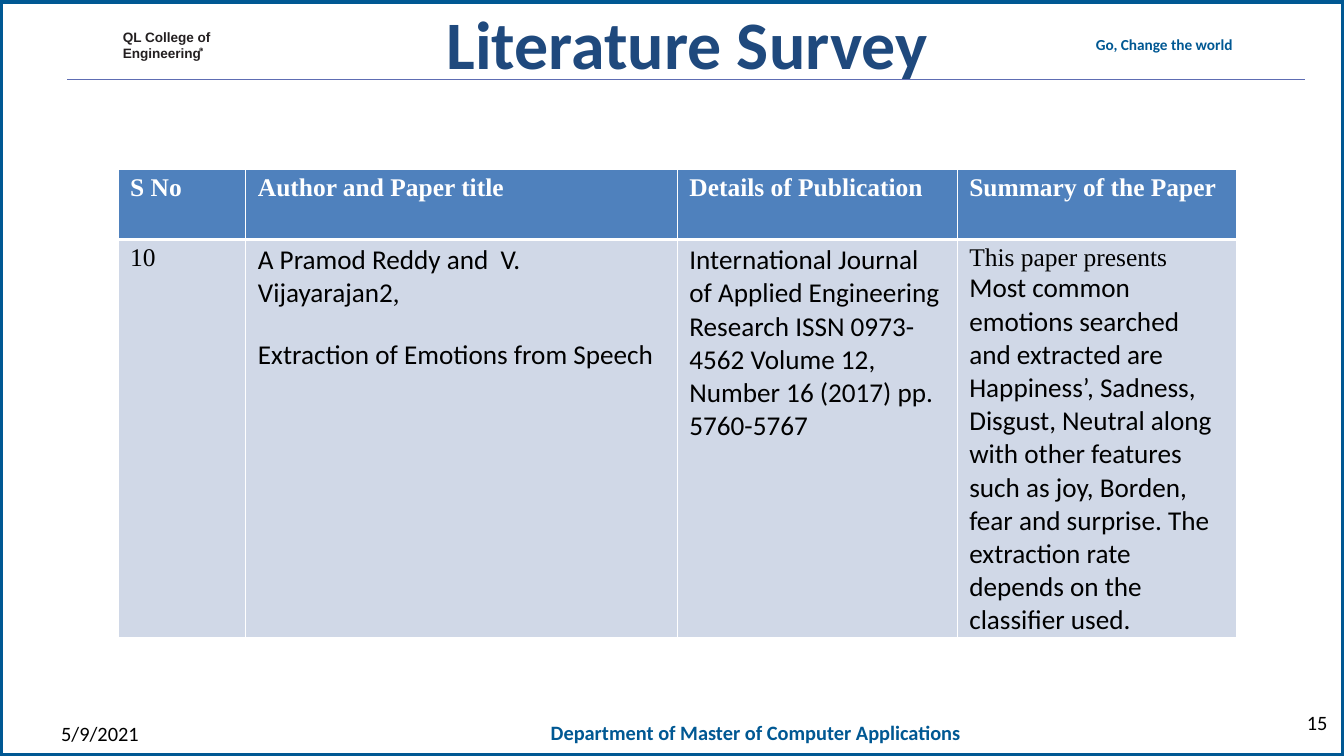
from dataclasses import dataclass

from lxml.etree import SubElement
from pptx import Presentation
from pptx.dml.color import RGBColor
from pptx.enum.shapes import MSO_CONNECTOR, MSO_SHAPE
from pptx.enum.text import MSO_ANCHOR, MSO_AUTO_SIZE, PP_ALIGN
from pptx.oxml import parse_xml
from pptx.oxml.ns import nsdecls, qn
from pptx.shapes.autoshape import Shape
from pptx.slide import Slide
from pptx.table import _Cell
from pptx.text.text import TextFrame, _Paragraph
from pptx.util import Inches, Pt

WHITE = RGBColor(0xFF, 0xFF, 0xFF)
BLACK = RGBColor(0, 0, 0)
INK = RGBColor(0x23, 0x1F, 0x20)
COLLEGE_BLUE = RGBColor(0x00, 0x58, 0x93)
RULE_BLUE = RGBColor(0x5E, 0x6D, 0xB3)
TITLE_BLUE = RGBColor(0x1F, 0x49, 0x7D)
HEADER_FILL = RGBColor(0x4F, 0x81, 0xBD)
BODY_FILL = RGBColor(0xD0, 0xD8, 0xE7)
SERIF = "Times New Roman"
SANS = "Calibri"
WIDTH, HEIGHT = 21.99, 12.37


@dataclass(frozen=True)
class Run:
    text: str
    size: float = 32
    font: str = SANS
    color: RGBColor = BLACK
    bold: bool = False


@dataclass(frozen=True)
class Label:
    left: float
    top: float
    width: float
    height: float
    lines: tuple[Run, ...]
    align: PP_ALIGN = PP_ALIGN.LEFT
    line_spacing: float | None = None


def write_text(paragraph: _Paragraph, text: str, *, size: float, font: str,
               color: RGBColor, bold: bool = False) -> None:
    run = paragraph.add_run()
    run.text = text
    run.font.size = Pt(size)
    run.font.name = font
    run.font.bold = bold
    run.font.color.rgb = color


def write_run(paragraph: _Paragraph, run: Run) -> None:
    write_text(paragraph, run.text, size=run.size, font=run.font,
               color=run.color, bold=run.bold)


def next_paragraph(frame: TextFrame, index: int) -> _Paragraph:
    return frame.add_paragraph() if index else frame.paragraphs[0]


def prepare_frame(frame: TextFrame) -> None:
    frame.word_wrap = True
    frame.auto_size = MSO_AUTO_SIZE.NONE
    frame.vertical_anchor = MSO_ANCHOR.TOP
    frame.margin_left = frame.margin_right = 0
    frame.margin_top = frame.margin_bottom = 0


def add_label(slide: Slide, label: Label) -> None:
    shape = slide.shapes.add_textbox(Inches(label.left), Inches(label.top),
                                     Inches(label.width), Inches(label.height))
    prepare_frame(shape.text_frame)
    for index, line in enumerate(label.lines):
        paragraph = next_paragraph(shape.text_frame, index)
        paragraph.alignment = label.align
        if label.line_spacing:
            paragraph.line_spacing = Pt(label.line_spacing)
            paragraph.space_before = Pt(1.4)
        write_run(paragraph, line)


def add_title(slide: Slide) -> None:
    title = slide.shapes.title
    title.left, title.top = Inches(5.66), Inches(0.02)
    title.width, title.height = Inches(11.17), Inches(1.35)
    prepare_frame(title.text_frame)
    paragraph = title.text_frame.paragraphs[0]
    paragraph.alignment = PP_ALIGN.CENTER
    write_text(paragraph, "Literature Survey", size=80, font=SANS,
               color=TITLE_BLUE, bold=True)


def add_frame_and_rule(slide: Slide) -> None:
    border = slide.shapes.add_shape(MSO_SHAPE.RECTANGLE, 0, Inches(0.02),
                                    Inches(WIDTH), Inches(HEIGHT - 0.02))
    border.shadow.inherit = False
    border.fill.background()
    border.line.color.rgb = COLLEGE_BLUE
    border.line.width = Pt(6)
    rule = slide.shapes.add_connector(MSO_CONNECTOR.STRAIGHT, Inches(1.1), Inches(1.3),
                                      Inches(21.36), Inches(1.3))
    rule.line.color.rgb = RULE_BLUE
    rule.line.width = Pt(1.24)
    SubElement(rule._element.spPr, qn("a:effectLst"))


def paint_ink(shape: Shape) -> None:
    shape.shadow.inherit = False
    shape.fill.solid()
    shape.fill.fore_color.rgb = INK
    shape.line.fill.background()


def add_registered_mark(slide: Slide) -> None:
    ring = slide.shapes.add_shape(MSO_SHAPE.DONUT, Inches(3.26), Inches(0.78),
                                  Inches(0.06), Inches(0.06))
    ring.adjustments[0] = 0.1
    paint_ink(ring)
    builder = slide.shapes.build_freeform(0, 0, scale=Inches(0.01))
    builder.add_line_segments([(2, 0), (3, 1), (2, 2), (3, 4), (2, 4), (1, 2),
                               (1, 4), (0, 4)])
    paint_ink(builder.convert_to_shape(Inches(3.28), Inches(0.79)))


def set_borders(cell: _Cell, *, top: float, bottom: float) -> None:
    properties = cell._tc.get_or_add_tcPr()
    sides = {"lnL": 0.96, "lnR": 0.96, "lnT": top, "lnB": bottom}
    for position, (tag, width) in enumerate(sides.items()):
        properties.insert(position, parse_xml(
            f'<a:{tag} {nsdecls("a")} w="{Pt(width)}"><a:solidFill>'
            f'<a:srgbClr val="{WHITE}"/></a:solidFill></a:{tag}>'))


def fill_cell(cell: _Cell, paragraphs: list[list[Run]], fill: RGBColor) -> None:
    cell.fill.solid()
    cell.fill.fore_color.rgb = fill
    cell.margin_left = cell.margin_right = Inches(0.2)
    cell.margin_top = Inches(0.07)
    cell.margin_bottom = 0
    for index, runs in enumerate(paragraphs):
        paragraph = next_paragraph(cell.text_frame, index)
        if index:
            paragraph.space_before = Pt(34)
        for run in runs:
            write_run(paragraph, run)


def add_survey_table(slide: Slide) -> None:
    headings = ["S No", "Author and Paper title", "Details of Publication",
                "Summary of the Paper"]
    header = [[[Run(heading, 30, SERIF, WHITE, True)]] for heading in headings]
    paper = [
        [[Run("10", 30, SERIF)]],
        [[Run("A Pramod Reddy and  V. Vijayarajan2"), Run(",", 30, SERIF)],
         [Run("Extraction of Emotions from Speech")]],
        [[Run("International Journal of Applied Engineering Research ISSN 0973-4562 "
              "Volume 12, Number 16 (2017) pp. 5760-5767")]],
        [[Run("This paper presents ", 30, SERIF),
          Run("Most common emotions searched and extracted are Happiness’, Sadness, "
              "Disgust, Neutral along with other features such as joy, Borden, fear and "
              "surprise. The extraction rate depends on the classifier used.")]],
    ]
    column_widths = [2.09, 7.06, 4.58, 4.57]
    row_heights = [1.15, 6.51]
    table = slide.shapes.add_table(2, 4, Inches(1.93), Inches(2.77),
                                   Inches(sum(column_widths)),
                                   Inches(sum(row_heights))).table
    for column, width in zip(table.columns, column_widths):
        column.width = Inches(width)
    for row, height in zip(table.rows, row_heights):
        row.height = Inches(height)
    for column_index, (heading, detail) in enumerate(zip(header, paper)):
        heading_cell = table.cell(0, column_index)
        fill_cell(heading_cell, heading, HEADER_FILL)
        set_borders(heading_cell, top=0.96, bottom=3)
        detail_cell = table.cell(1, column_index)
        fill_cell(detail_cell, detail, BODY_FILL)
        set_borders(detail_cell, top=3, bottom=0.96)


LABELS = [
    Label(2.01, 0.49, 1.6, 0.54, (Run("QL College of", 16, "Arial", INK, True),
                                  Run("Engineering", 16, "Arial", INK, True)),
          line_spacing=17.9),
    Label(17.93, 0.58, 3.03, 0.32,
          (Run("Go, Change the world", 18, SANS, COLLEGE_BLUE, True),)),
    Label(9.01, 11.79, 7.58, 0.42,
          (Run("Department of Master of Computer Applications", 24, SANS,
               COLLEGE_BLUE, True),)),
    Label(1, 11.8, 5.06, 0.4, (Run("5/9/2021", 24),)),
    Label(18.75, 11.62, 2.97, 0.4, (Run("15", 24),), PP_ALIGN.RIGHT),
]

presentation = Presentation()
presentation.slide_width = Inches(WIDTH)
presentation.slide_height = Inches(HEIGHT)
slide = presentation.slides.add_slide(presentation.slide_layouts[5])
add_frame_and_rule(slide)
add_registered_mark(slide)
add_title(slide)
add_survey_table(slide)
for label in LABELS:
    add_label(slide, label)
presentation.save("out.pptx")
